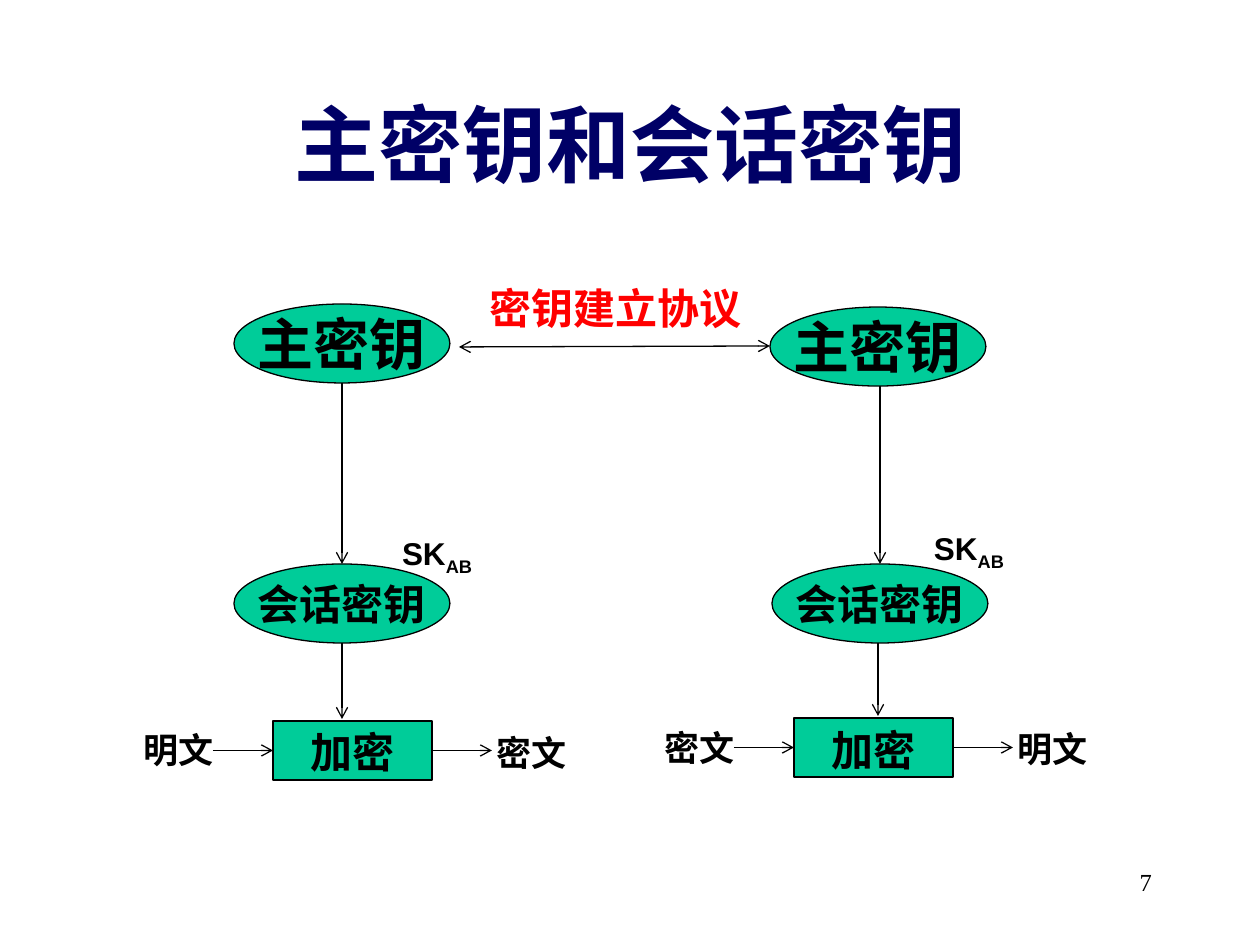
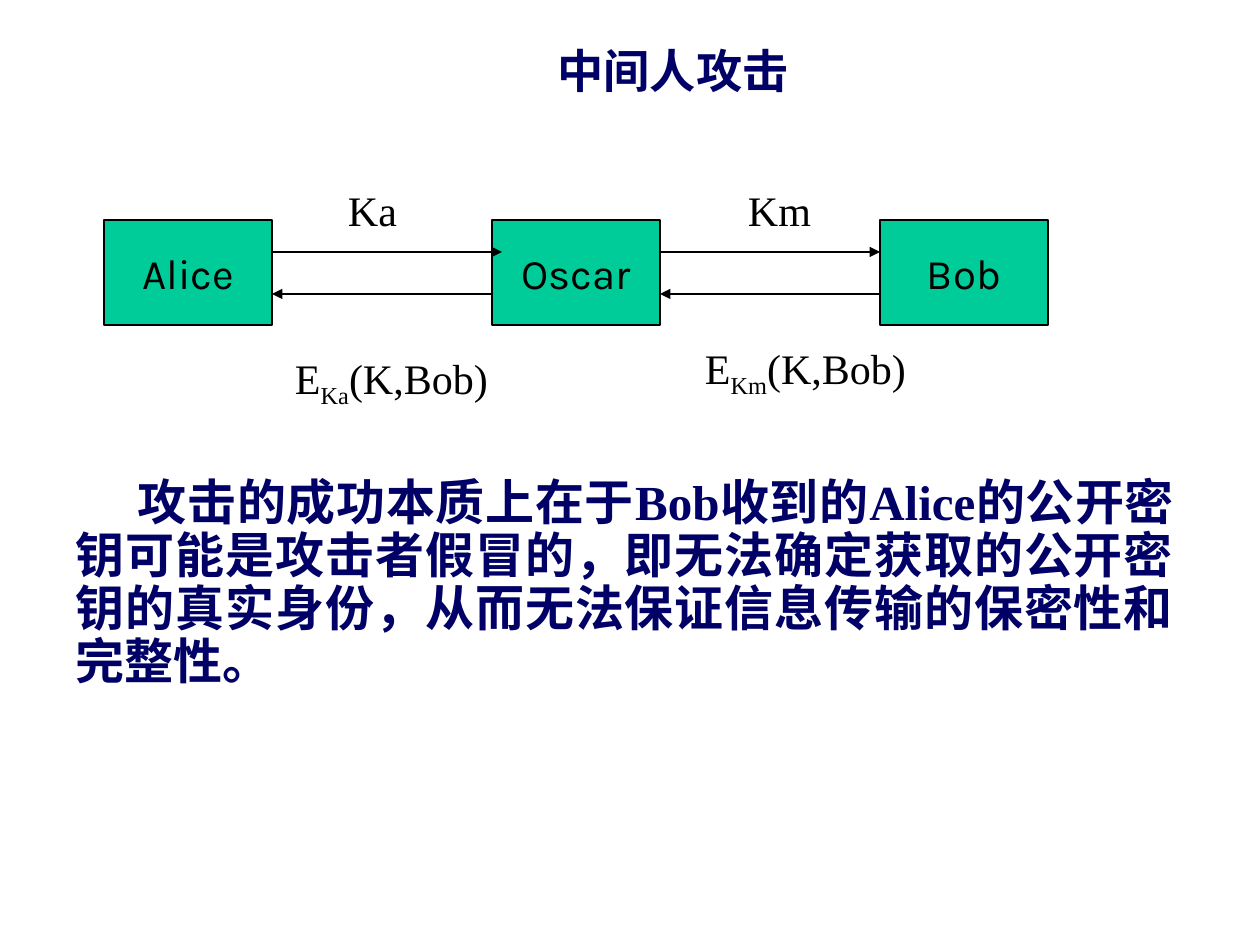
from lxml import etree
from pptx import Presentation
from pptx.dml.color import RGBColor
from pptx.enum import shapes, text
from pptx.oxml.ns import qn
from pptx.util import Emu, Pt

PX = 914400 // 126
COLORS = {"navy": "000066", "green": "00CC99", "black": "000000", "red": "FF0000"}
SERIF, SANS, LABEL, CJK = "Times New Roman", "Arial", "Karla", "Noto Sans CJK SC"
ALIGN, ANCHOR, SHAPE = text.PP_ALIGN, text.MSO_ANCHOR, shapes.MSO_SHAPE

KEY_TITLE = ("主密钥和会话密钥", (95, 76, 1071, 133))
PROTOCOL = ("密钥建立协议", (461, 277, 309, 63))
PAGE = ("7", (903, 861, 262, 63))
SESSION_LABEL = [("SK", 0), ("AB", -25)]
PARTIES = [
    {"master": (234, 304), "session": (234, 564), "cipher": (273, 721),
     "axis": 342, "label": (389, 528), "input": "明文", "output": "密文"},
    {"master": (770, 307), "session": (772, 564), "cipher": (794, 718),
     "axis": 878, "label": (921, 523), "input": "密文", "output": "明文"},
]
OVAL = (216, 79)
CIPHER = (159, 59)

ATTACK_TITLE = ("中间人攻击", (184, 42, 978, 73))
ACTORS = ["Alice", "Oscar", "Bob"]
ACTOR_BOX = (168, 105)
ACTOR_LEFT, ACTOR_TOP, ACTOR_PITCH = 104, 220, 388
MESSAGES = [
    ("Ka", (335, 179, 84, 63)),
    ("Km", (735, 179, 95, 63)),
    ([("E", 0), ("Km", -25), ("(K,Bob)", 0)], (692, 336, 252, 71)),
    ([("E", 0), ("Ka", -25), ("(K,Bob)", 0)], (282, 346, 252, 71)),
]
CONCLUSION = (
    "攻击的成功本质上在于Bob收到的Alice的公开密钥可能是攻击者假冒的，"
    "即无法确定获取的公开密钥的真实身份，从而无法保证信息传输的保密性和完整性。",
    (63, 472, 1124, 368),
)


def px(*lengths):
    return [Emu(round(length * PX)) for length in lengths]


def rgb(name):
    return RGBColor.from_string(COLORS[name])


def write(holder, content, size=24, font=SERIF, color="black", bold=False,
          align=ALIGN.LEFT, anchor=ANCHOR.TOP, wrap=True, inset=(13, 6),
          indent=0, spacing=None):
    frame = holder.text_frame
    frame.word_wrap = wrap
    frame.auto_size = text.MSO_AUTO_SIZE.NONE
    frame.vertical_anchor = anchor
    frame.margin_left = frame.margin_right = px(inset[0])[0]
    frame.margin_top = frame.margin_bottom = px(inset[1])[0]
    paragraph = frame.paragraphs[0]
    paragraph.alignment = align
    paragraph.space_before = Pt(0)
    if spacing:
        paragraph.line_spacing = spacing
    if indent:
        properties = paragraph._p.get_or_add_pPr()
        properties.set("marL", "0")
        properties.set("indent", str(indent * PX))
    pieces = [(content, 0)] if isinstance(content, str) else content
    for words, baseline in pieces:
        run = paragraph.add_run()
        run.text = words
        run.font.name = font
        run.font.size = Pt(size)
        run.font.bold = bold
        run.font.color.rgb = rgb(color)
        properties = run._r.get_or_add_rPr()
        properties.set("lang", "zh-CN")
        if baseline:
            properties.set("baseline", str(baseline * 1000))
        etree.SubElement(properties, qn("a:ea")).set("typeface", CJK)


def add_title(slide, content, box, **style):
    title = slide.shapes.title
    title.left, title.top, title.width, title.height = px(*box)
    write(title, content, color="navy", bold=True, align=ALIGN.CENTER,
          inset=(0, 0), **style)


def add_label(slide, content, box, **style):
    write(slide.shapes.add_textbox(*px(*box)), content, **style)


def add_node(slide, kind, content, spot, extent, **style):
    node = slide.shapes.add_shape(kind, *px(*spot, *extent))
    node.shadow.inherit = False
    node.fill.solid()
    node.fill.fore_color.rgb = rgb("green")
    node.line.color.rgb = rgb("black")
    node.line.width = Pt(0.75)
    write(node, content, align=ALIGN.CENTER, **style)
    return node


def add_arrow(slide, start, end, ends=("tailEnd",), tip="arrow", source=None, target=None):
    arrow = slide.shapes.add_connector(shapes.MSO_CONNECTOR.STRAIGHT, *px(*start, *end))
    if source:
        arrow.begin_connect(*source)
    if target:
        arrow.end_connect(*target)
    arrow.line.color.rgb = rgb("black")
    arrow.line.width = Pt(0.75)
    line = arrow.line._get_or_add_ln()
    for side in ends:
        etree.SubElement(line, qn(f"a:{side}")).set("type", tip)
    etree.SubElement(arrow._element.spPr, qn("a:effectLst"))


def build_keys(slide):
    add_title(slide, *KEY_TITLE, size=48, anchor=ANCHOR.MIDDLE)
    add_label(slide, *PAGE, size=14, align=ALIGN.RIGHT)
    add_label(slide, *PROTOCOL, color="red", bold=True, align=ALIGN.CENTER)
    oval = {"font": CJK, "bold": True, "anchor": ANCHOR.MIDDLE, "wrap": False}
    for party in PARTIES:
        axis = party["axis"]
        add_node(slide, SHAPE.OVAL, "主密钥", party["master"], OVAL, size=32, **oval)
        session = add_node(slide, SHAPE.OVAL, "会话密钥", party["session"], OVAL, **oval)
        left, top = party["cipher"]
        width, height = CIPHER
        cipher = add_node(slide, SHAPE.RECTANGLE, "加密", (left, top), CIPHER, bold=True)
        session_left, session_top = party["session"]
        session_axis = session_left + OVAL[0] / 2
        add_arrow(slide, (session_axis, party["master"][1] + OVAL[1]),
                  (session_axis, session_top), target=(session, 0))
        add_arrow(slide, (axis, session_top + OVAL[1]), (axis, top - 2))
        middle = top + height / 2
        add_arrow(slide, (left - 60, middle), (left, middle), target=(cipher, 1))
        add_arrow(slide, (left + width, middle), (left + width + 60, middle),
                  source=(cipher, 3))
        add_label(slide, party["input"], (left - 142, top + 2, 103, 55), size=20, bold=True)
        add_label(slide, party["output"], (left + 211, top + 4, 103, 55), size=20, bold=True)
        add_label(slide, SESSION_LABEL, (*party["label"], 121, 55),
                  size=18, font=SANS, bold=True)
    add_arrow(slide, (459, 347), (770, 346), ends=("headEnd", "tailEnd"))


def build_attack(slide):
    add_title(slide, *ATTACK_TITLE, size=26.4)
    width = ACTOR_BOX[0]
    lefts = [ACTOR_LEFT + ACTOR_PITCH * place for place in range(len(ACTORS))]
    for actor, left in zip(ACTORS, lefts):
        add_node(slide, SHAPE.RECTANGLE, actor, (left, ACTOR_TOP), ACTOR_BOX,
                 font=LABEL, anchor=ANCHOR.MIDDLE, wrap=False)
    for left, following, overlap in zip(lefts, lefts[1:], (10, 0)):
        add_arrow(slide, (left + width, 252), (following + overlap, 252), tip="triangle")
        add_arrow(slide, (following, 294), (left + width, 294), tip="triangle")
    for message, box in MESSAGES:
        add_label(slide, message, box)
    add_label(slide, *CONCLUSION, size=28, color="navy", bold=True,
              align=ALIGN.JUSTIFY, indent=62, spacing=0.9)


def main():
    deck = Presentation()
    deck.slide_width, deck.slide_height = px(1260, 945)
    for build in (build_keys, build_attack):
        build(deck.slides.add_slide(deck.slide_layouts[5]))
    deck.save("out.pptx")


if __name__ == "__main__":
    main()
